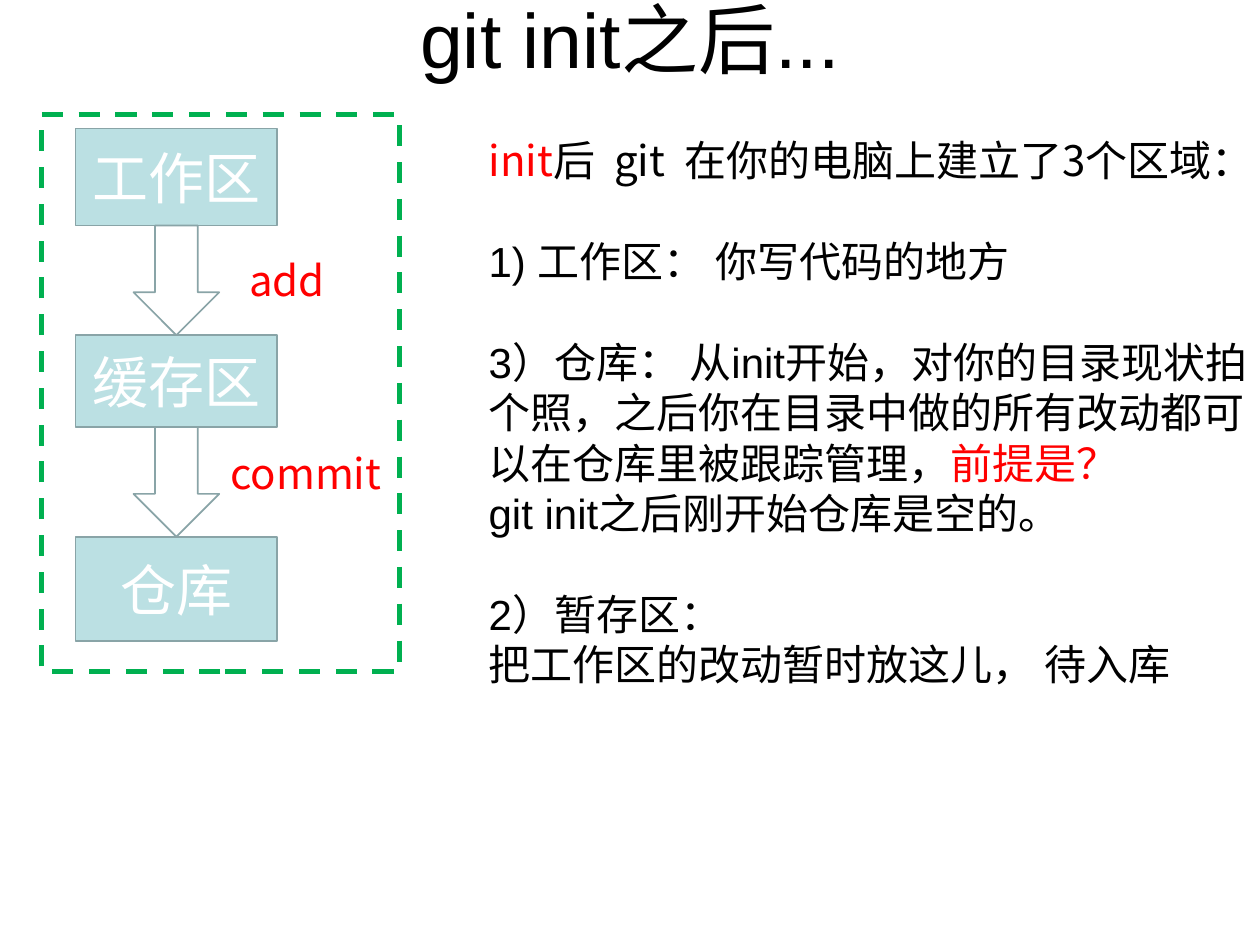
from pptx import Presentation
from pptx.dml.color import RGBColor
from pptx.enum.dml import MSO_LINE
from pptx.enum.shapes import MSO_SHAPE
from pptx.enum.text import MSO_ANCHOR, PP_ALIGN
from pptx.oxml.ns import qn
from pptx.util import Inches, Pt
from lxml.etree import SubElement

COLORS = {"ink": "000000", "red": "FF0000", "white": "FFFFFF",
          "zone": "BBE0E3", "edge": "89A4A7", "frame": "00B050"}
SANS = "Noto Sans CJK SC"
LATIN = "Arial"
LINE = 28.8

ZONES = [("工作区", 1.02, 0.77), ("缓存区", 2.66, 0.73), ("仓库", 4.26, 0.83)]
LABELS = [("add", 1.88, 1.97, 0.97), ("commit", 1.73, 3.5, 1.43)]
NOTES = [
    (0, [("init", SANS, "red", 0), ("后", SANS, "ink", 0),
         (" ", SANS, "ink", 5.4), ("git", SANS, "ink", 0),
         (" ", SANS, "ink", 5.4),
         ("在你的电脑上建立了3个区域", SANS, "ink", 0),
         ("：", LATIN, "ink", 0)]),
    (LINE, [("1) 工作区： 你写代码的地方", LATIN, "ink", 0)]),
    (LINE, [("3）仓库： 从init开始，对你的目录现状拍个照，"
             "之后你在目录中做的所有改动都可以在仓库里被跟踪管理，",
             LATIN, "ink", 0),
            ("前提是？", LATIN, "red", 0)]),
    (0, [("git init之后刚开始仓库是空的。", LATIN, "ink", 0)]),
    (LINE, [("2）暂存区：", LATIN, "ink", 0)]),
    (0, [("把工作区的改动暂时放这儿， 待入库", LATIN, "ink", 0)]),
]


def rgb(name):
    return RGBColor.from_string(COLORS[name])


def style(run, size, face, color, gap=0):
    run.font.size = Pt(size)
    run.font.name = face
    run.font.color.rgb = rgb(color)
    props = run._r.get_or_add_rPr()
    SubElement(props, qn("a:ea")).set("typeface", SANS)
    if gap:
        props.set("spc", str(round(gap * 100)))


def write(frame, text, size, face, color, align):
    frame.word_wrap = True
    frame.text = text
    para = frame.paragraphs[0]
    para.alignment = align
    style(para.runs[0], size, face, color)


def add_box(slide, *place):
    return slide.shapes.add_textbox(*map(Inches, place)).text_frame


def add_shape(slide, kind, place, edge, width, fill=None):
    shape = slide.shapes.add_shape(kind, *map(Inches, place))
    shape.shadow.inherit = False
    if fill:
        shape.fill.solid()
        shape.fill.fore_color.rgb = rgb(fill)
    else:
        shape.fill.background()
    shape.line.color.rgb = rgb(edge)
    shape.line.width = Pt(width)
    return shape


def add_title(slide):
    frame = add_box(slide, 0.5, 0, 9, 0.6)
    frame.vertical_anchor = MSO_ANCHOR.MIDDLE
    write(frame, "git init之后...", 44, LATIN, "ink", PP_ALIGN.CENTER)


def add_zone(slide, text, top, height):
    shape = add_shape(slide, MSO_SHAPE.RECTANGLE, (0.6, top, 1.6, height),
                      "edge", 1, "zone")
    frame = shape.text_frame
    frame.vertical_anchor = MSO_ANCHOR.MIDDLE
    write(frame, text, 32, SANS, "white", PP_ALIGN.CENTER)


def add_arrow(slide, start, end):
    add_shape(slide, MSO_SHAPE.DOWN_ARROW, (1.06, start, 0.68, end - start),
              "edge", 1)


def add_notes(slide):
    frame = add_box(slide, 3.78, 1.02, 6.22, 5.3)
    frame.word_wrap = True
    for index, (space, parts) in enumerate(NOTES):
        para = frame.add_paragraph() if index else frame.paragraphs[0]
        if space:
            para.space_before = Pt(space)
        for text, face, color, gap in parts:
            run = para.add_run()
            run.text = text
            style(run, 24, face, color, gap)


def main():
    deck = Presentation()
    deck.slide_width, deck.slide_height = Inches(10), Inches(7.5)
    slide = deck.slides.add_slide(deck.slide_layouts[6])
    add_title(slide)
    for zone in ZONES:
        add_zone(slide, *zone)
    for (_, top, height), (_, end, _) in zip(ZONES, ZONES[1:]):
        add_arrow(slide, top + height, end)
    add_notes(slide)
    for text, left, top, width in LABELS:
        write(add_box(slide, left, top, width, 0.5), text, 24, SANS, "red",
              PP_ALIGN.LEFT)
    frame = add_shape(slide, MSO_SHAPE.RECTANGLE, (0.33, 0.91, 2.84, 4.42),
                      "frame", 3)
    frame.line.dash_style = MSO_LINE.DASH
    deck.save("out.pptx")


if __name__ == "__main__":
    main()
